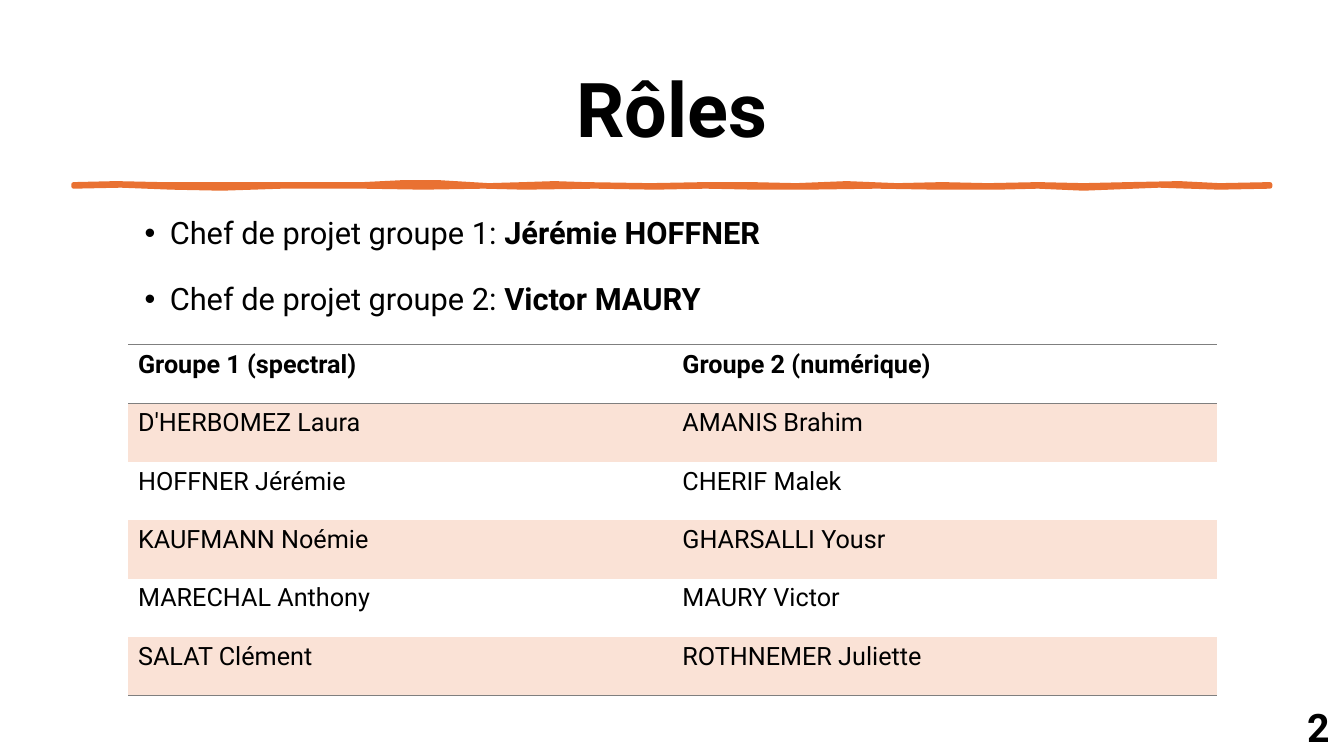
from lxml.etree import SubElement
from pptx import Presentation
from pptx.dml.color import RGBColor
from pptx.enum.shapes import MSO_SHAPE
from pptx.enum.text import MSO_ANCHOR, PP_ALIGN
from pptx.oxml import parse_xml
from pptx.oxml.ns import nsdecls, qn
from pptx.util import Inches, Pt

ORANGE, BAND, RULE, BLACK, WHITE = "E97132", "FAE2D6", "7F7F7F", "000000", "FFFFFF"
NO_GRID_STYLE = "{2D5ABB26-0587-4C30-8999-92F81FD0307C}"
PAGE_WIDTH, PAGE_HEIGHT = 40 / 3, 7.5
MARGIN = 11 / 12
CONTENT_WIDTH = PAGE_WIDTH - 2 * MARGIN

LEADERS = [
    ("Chef de projet groupe 1: ", "Jérémie HOFFNER"),
    ("Chef de projet groupe 2: ", "Victor MAURY"),
]
GROUPS = [
    ("Groupe 1 (spectral)", "Groupe 2 (numérique)"),
    ("D'HERBOMEZ Laura", "AMANIS Brahim"),
    ("HOFFNER Jérémie", "CHERIF Malek"),
    ("KAUFMANN Noémie", "GHARSALLI Yousr"),
    ("MARECHAL Anthony", "MAURY Victor"),
    ("SALAT Clément", "ROTHNEMER Juliette"),
]
STROKE_TOP = [
    (0.73, 1.83), (1.15, 1.82), (1.6, 1.83), (2.2, 1.83), (2.84, 1.83),
    (3.6, 1.83), (4, 1.81), (4.35, 1.81), (4.85, 1.84), (5.2, 1.83),
    (5.5, 1.82), (5.8, 1.83), (6.45, 1.84), (7, 1.83), (7.45, 1.83),
    (7.9, 1.84), (8.4, 1.82), (8.9, 1.84), (9.35, 1.83), (9.8, 1.84),
    (10.3, 1.83), (10.75, 1.84), (11.2, 1.83), (11.7, 1.82), (12.1, 1.84),
    (12.6, 1.83),
]
STROKE_BOTTOM = [
    (12.6, 1.85), (12.1, 1.86), (11.5, 1.84), (10.75, 1.87), (10.3, 1.85),
    (9.9, 1.86), (9.3, 1.86), (8.7, 1.85), (8, 1.86), (7.5, 1.86),
    (7, 1.85), (6.5, 1.86), (5.9, 1.85), (5.2, 1.86), (4.8, 1.85),
    (4.2, 1.86), (3.6, 1.85), (2.8, 1.85), (2.2, 1.87), (1.7, 1.86),
    (1.2, 1.84), (0.73, 1.85),
]


def color(value):
    return RGBColor.from_string(value)


class RolesSlide:
    """Hold the text style and the slide, and add each kind of element."""

    def __init__(self, deck, font="Roboto"):
        self.font = font
        self.page = deck.slides.add_slide(deck.slide_layouts[6])

    def paint(self, item, value):
        item.fill.solid()
        item.fill.fore_color.rgb = color(value)

    def backdrop(self):
        bounds = map(Inches, (0, 0, PAGE_WIDTH, PAGE_HEIGHT))
        shape = self.page.shapes.add_shape(MSO_SHAPE.RECTANGLE, *bounds)
        shape.shadow.inherit = False
        self.paint(shape, WHITE)
        shape.line.fill.background()

    def span(self, para, text, size, bold=False):
        span = para.add_run()
        span.text = text
        style = {"name": self.font, "size": Pt(size), "bold": bold}
        for name, value in style.items():
            setattr(span.font, name, value)
        span.font.color.rgb = color(BLACK)

    def text(self, bounds, lines, size, frame_format=None, para_format=None, bullet=False):
        box = self.page.shapes.add_textbox(*map(Inches, bounds))
        frame = box.text_frame
        for name, value in {"word_wrap": True, **(frame_format or {})}.items():
            setattr(frame, name, value)
        for index, spans in enumerate(lines):
            para = frame.add_paragraph() if index else frame.paragraphs[0]
            for name, value in (para_format or {}).items():
                setattr(para, name, value)
            if bullet:
                self.bullet(para)
            for content, bold in spans:
                self.span(para, content, size, bold)

    def bullet(self, para):
        properties = para._p.get_or_add_pPr()
        properties.set("marL", str(Inches(0.67)))
        properties.set("indent", str(Inches(-0.25)))
        SubElement(properties, qn("a:buFont")).set("typeface", "Arial")
        SubElement(properties, qn("a:buChar")).set("char", "•")

    def stroke(self, points):
        start, *rest = [(Inches(x), Inches(y)) for x, y in points]
        builder = self.page.shapes.build_freeform(*start)
        builder.add_line_segments(rest, close=True)
        shape = builder.convert_to_shape()
        shape.shadow.inherit = False
        self.paint(shape, ORANGE)
        shape.line.color.rgb = color(ORANGE)
        shape.line.width = Pt(3.25)

    def table(self, bounds, rows):
        frame = self.page.shapes.add_table(len(rows), len(rows[0]), *map(Inches, bounds))
        table = frame.table
        for name in ("first_row", "horz_banding"):
            setattr(table, name, False)
        table._tbl.tblPr.find(qn("a:tableStyleId")).text = NO_GRID_STYLE
        for row, names in enumerate(rows):
            for column, name in enumerate(names):
                cell = table.cell(row, column)
                self.span(cell.text_frame.paragraphs[0], name, 18, row == 0)
                self.paint(cell, BAND if row % 2 else WHITE)
                if row in (0, len(rows) - 1):
                    self.border(cell, "lnB")
                if row == 0:
                    self.border(cell, "lnT")

    def border(self, cell, side):
        line = parse_xml(
            f'<a:{side} {nsdecls("a")} w="{Pt(0.75)}"><a:solidFill>'
            f'<a:srgbClr val="{RULE}"/></a:solidFill></a:{side}>'
        )
        cell._tc.get_or_add_tcPr().insert(0, line)


def main():
    deck = Presentation()
    deck.slide_width, deck.slide_height = Inches(PAGE_WIDTH), Inches(PAGE_HEIGHT)
    slide = RolesSlide(deck)
    slide.backdrop()
    slide.text(
        (MARGIN, 0.4, CONTENT_WIDTH, 1.45), [[("Rôles", True)]], 54,
        {"vertical_anchor": MSO_ANCHOR.MIDDLE},
        {"alignment": PP_ALIGN.CENTER, "line_spacing": 0.9},
    )
    slide.stroke(STROKE_TOP + STROKE_BOTTOM)
    leaders = [[(role, False), (person, True)] for role, person in LEADERS]
    slide.text(
        (MARGIN, 2.11, CONTENT_WIDTH, 4.65), leaders, 22,
        para_format={"line_spacing": 0.9, "space_after": Pt(23.5)}, bullet=True,
    )
    slide.table((1.27, 3.42, 10.8, 3.48), GROUPS)
    slide.text((12.87, 6.93, 0.71, 0.57), [[("2", True)]], 28)
    deck.save("out.pptx")


if __name__ == "__main__":
    main()
